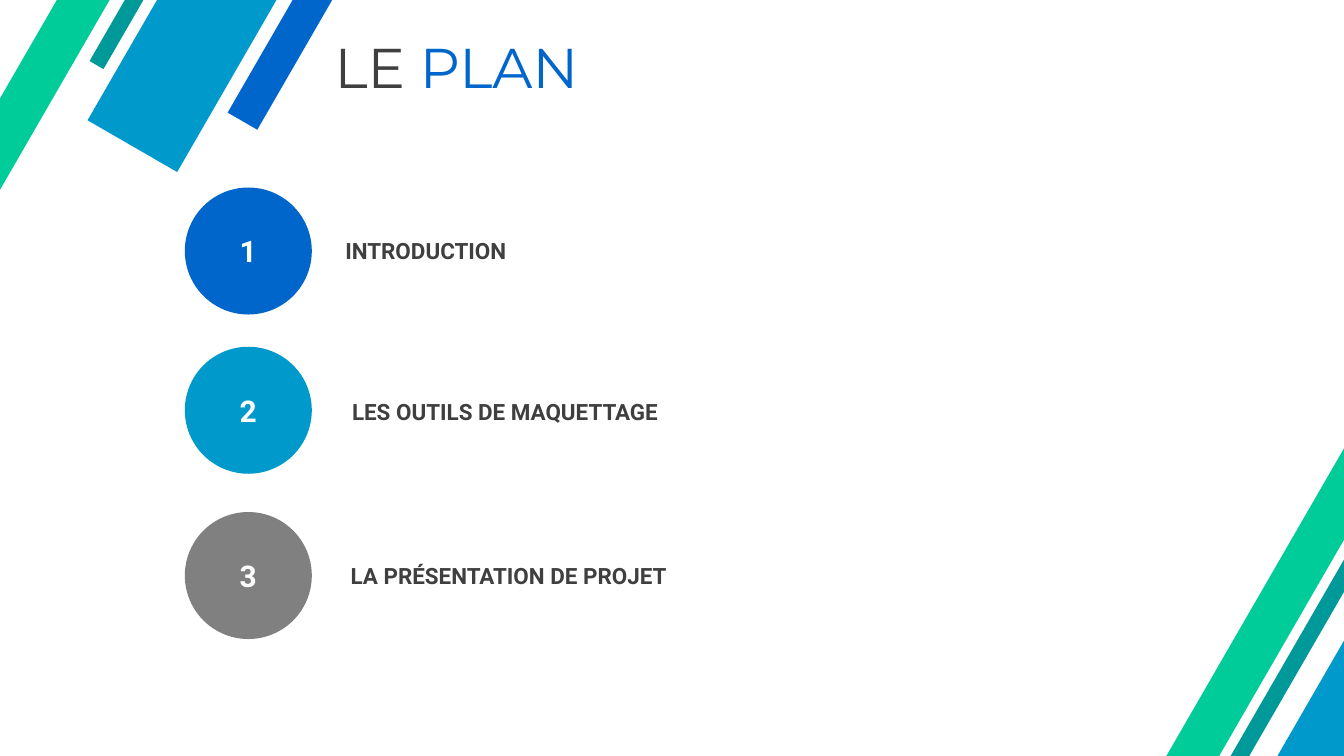
from dataclasses import dataclass

from pptx import Presentation
from pptx.dml.color import RGBColor
from pptx.enum.shapes import MSO_SHAPE
from pptx.enum.text import MSO_ANCHOR, MSO_AUTO_SIZE, PP_ALIGN
from pptx.util import Pt

RECTANGLE, OVAL = MSO_SHAPE.RECTANGLE, MSO_SHAPE.OVAL
MIDDLE, BOTTOM = MSO_ANCHOR.MIDDLE, MSO_ANCHOR.BOTTOM
LEFT, CENTER = PP_ALIGN.LEFT, PP_ALIGN.CENTER
FIXED, GROW = MSO_AUTO_SIZE.NONE, MSO_AUTO_SIZE.SHAPE_TO_FIT_TEXT


@dataclass(frozen=True)
class Theme:
    blue: str = "0066CC"
    cyan: str = "0099CC"
    teal: str = "009999"
    green: str = "00CC99"
    grey: str = "808080"
    dark: str = "3F3F3F"
    white: str = "FFFFFF"
    title_font: str = "Montserrat"
    body_font: str = "Roboto"
    title_size: int = 60
    number_size: int = 32
    label_size: int = 24


theme = Theme()


def add_filled(kind, left, top, width, height, color):
    shape = slide.shapes.add_shape(kind, Pt(left), Pt(top), Pt(width), Pt(height))
    shape.shadow.inherit = False
    shape.fill.solid()
    shape.fill.fore_color.rgb = RGBColor.from_string(color)
    shape.line.fill.background()
    return shape


def style_run(run, font, size, color, bold=False):
    run.font.name = font
    run.font.size = Pt(size)
    run.font.bold = bold
    run.font.color.rgb = RGBColor.from_string(color)


deck = Presentation()
deck.slide_width, deck.slide_height = Pt(1440), Pt(810)
slide = deck.slides.add_slide(deck.slide_layouts[5])

# Diagonal stripes in the two corners: left, top, length, thickness, colour
stripes = [
    (-102.2, -515.5, 1447.9, 36.7, theme.blue),
    (-219.6, -524.9, 1445.8, 110.9, theme.cyan),
    (-258.5, -565.9, 1447.9, 17.3, theme.teal),
    (-419.8, -393.8, 1444.3, 49, theme.green),
    (985, 277.9, 1445.8, 110.9, theme.cyan),
    (928.8, 239.8, 1447.9, 17.3, theme.teal),
    (771.1, 412.6, 1444.3, 49, theme.green),
]
for stripe in stripes:
    add_filled(RECTANGLE, *stripe).rotation = 300

# Title, in front of the stripes
title = slide.shapes.title
title.element.getparent().append(title.element)
title.left, title.top, title.width, title.height = Pt(345.6), Pt(32.4), Pt(1077), Pt(77.8)
heading = title.text_frame
heading.auto_size = FIXED
heading.vertical_anchor = MIDDLE
heading.margin_left = heading.margin_right = Pt(13)
heading.margin_top = heading.margin_bottom = Pt(6.5)
heading_line = heading.paragraphs[0]
heading_line.alignment = LEFT
for word, color in (("LE ", theme.dark), ("PLAN", theme.blue)):
    run = heading_line.add_run()
    run.text = word
    style_run(run, theme.title_font, theme.title_size, color)

# Agenda: circle top, colour, then label, its left, top and width
agenda = [
    (200.9, theme.blue, "INTRODUCTION", 362.9, 250.6, 277.2),
    (371.5, theme.cyan, "LES OUTILS DE MAQUETTAGE", 370.1, 423.4, 377.3),
    (548.6, theme.grey, "LA PRÉSENTATION DE PROJET", 368.6, 598.3, 382.3),
]
for number, (circle_top, color, label, left, top, width) in enumerate(agenda, 1):
    circle = add_filled(OVAL, 198, circle_top, 136.1, 136.1, color)
    circle.text_frame.text = str(number)
    circle.text_frame.word_wrap = False
    circle.text_frame.vertical_anchor = MIDDLE
    number_line = circle.text_frame.paragraphs[0]
    number_line.alignment = CENTER
    style_run(number_line.runs[0], theme.body_font, theme.number_size, theme.white, True)

    caption = slide.shapes.add_textbox(Pt(left), Pt(top), Pt(width), Pt(36)).text_frame
    caption.text = label
    caption.word_wrap = True
    caption.auto_size = GROW
    caption.vertical_anchor = BOTTOM
    style_run(caption.paragraphs[0].runs[0], theme.body_font, theme.label_size, theme.dark, True)

deck.save("out.pptx")
